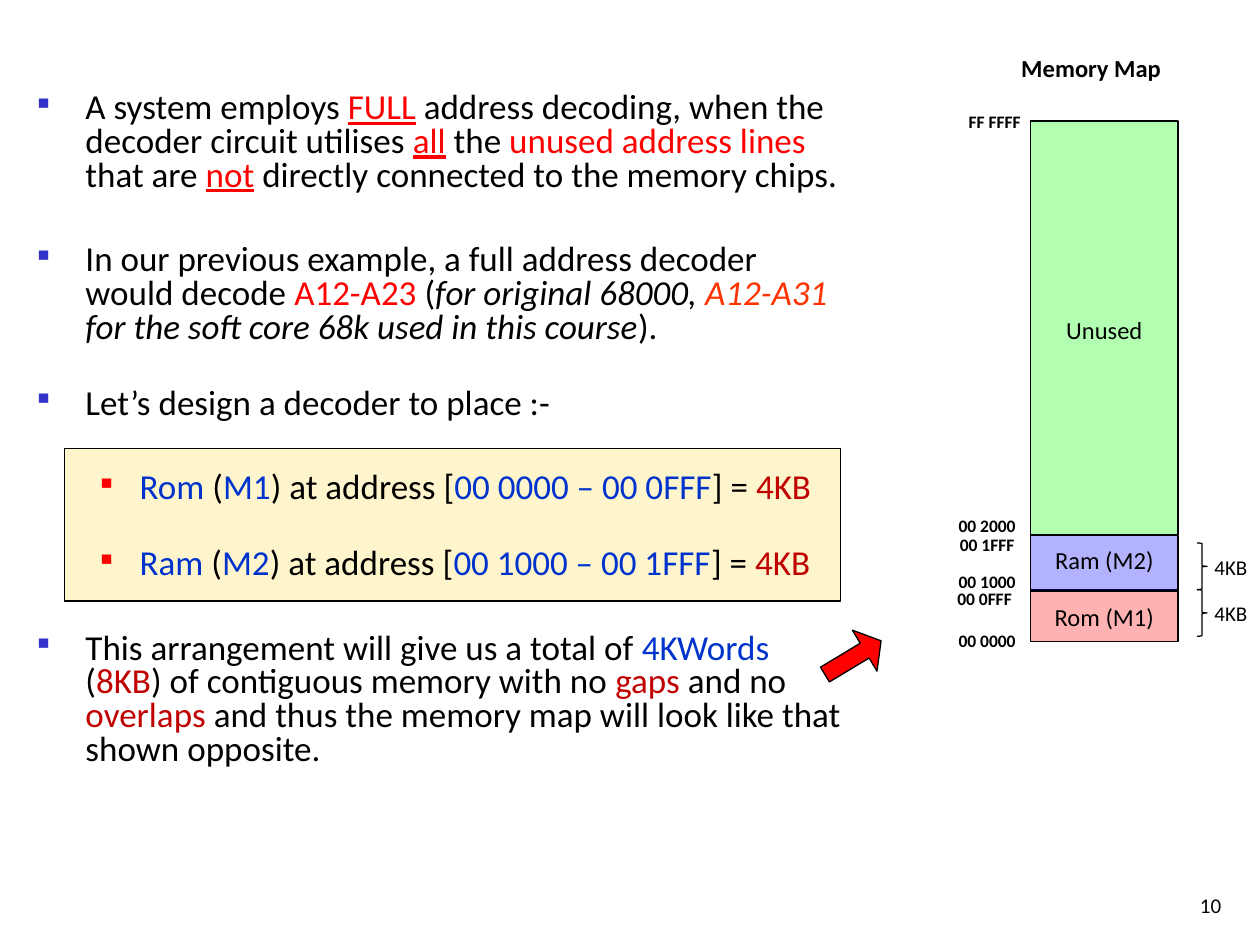
from dataclasses import dataclass

from lxml.etree import SubElement
from pptx import Presentation
from pptx.dml.color import RGBColor
from pptx.enum.shapes import MSO_SHAPE
from pptx.enum.text import MSO_ANCHOR, PP_ALIGN
from pptx.oxml.ns import qn
from pptx.util import Inches, Pt


@dataclass(frozen=True)
class Theme:
    font: str = "Calibri"
    black: str = "000000"
    white: str = "FFFFFF"
    red: str = "FF0000"
    orange: str = "FF3300"
    crimson: str = "C00000"
    blue: str = "0033CC"
    bullet: str = "3333CC"
    cream: str = "FFF5CC"
    green: str = "00FF00"
    violet: str = "0000FF"
    body: int = 20
    caption: int = 14
    small: int = 12
    address: int = 10
    outline: float = 0.75
    opacity: int = 30


THEME = Theme()


@dataclass(frozen=True)
class Span:
    text: str
    color: str = THEME.black
    underline: bool = False
    italic: bool = False
    bold: bool = False


@dataclass(frozen=True)
class Bullet:
    spans: tuple[Span, ...]
    space: float = 0
    level: int = 0


@dataclass(frozen=True)
class Region:
    name: str
    top: float
    height: float
    color: str
    label_top: float


@dataclass(frozen=True)
class Address:
    text: str
    left: float
    top: float


@dataclass(frozen=True)
class Frame:
    left: float
    top: float
    width: float
    height: float

    def lengths(self) -> tuple:
        return tuple(Inches(v) for v in (self.left, self.top, self.width, self.height))


def add_span(para, span: Span, size: int) -> None:
    run = para.add_run()
    run.text = span.text
    font = run.font
    font.name, font.size = THEME.font, Pt(size)
    font.bold, font.italic, font.underline = span.bold, span.italic, span.underline
    font.color.rgb = RGBColor.from_string(span.color)


def add_label(page, frame: Frame, span: Span, size: int, align=PP_ALIGN.CENTER,
              wrap: bool = True, anchor=MSO_ANCHOR.TOP) -> None:
    text = page.shapes.add_textbox(*frame.lengths()).text_frame
    text.word_wrap, text.vertical_anchor = wrap, anchor
    para = text.paragraphs[0]
    para.alignment = align
    add_span(para, span, size)


def add_filled(page, kind, frame: Frame, fill: str | None = None, opacity: int = 100,
               outlined: bool = True):
    shape = page.shapes.add_shape(kind, *frame.lengths())
    shape.shadow.inherit = False
    if outlined:
        shape.line.color.rgb = RGBColor.from_string(THEME.black)
        shape.line.width = Pt(THEME.outline)
    else:
        shape.line.fill.background()
    if fill is None:
        shape.fill.background()
        return shape
    shape.fill.solid()
    shape.fill.fore_color.rgb = RGBColor.from_string(fill)
    if opacity < 100:
        color = shape.fill._xPr.find(f"{qn('a:solidFill')}/{qn('a:srgbClr')}")
        SubElement(color, qn("a:alpha"), val=str(opacity * 1000))
    return shape


def add_plate(page, frame: Frame, name: str, size: int, align=PP_ALIGN.CENTER) -> None:
    text = add_filled(page, MSO_SHAPE.RECTANGLE, frame, THEME.white, outlined=False).text_frame
    text.margin_left = text.margin_right = text.margin_top = text.margin_bottom = 0
    text.word_wrap, text.vertical_anchor = True, MSO_ANCHOR.TOP
    para = text.paragraphs[0]
    para.alignment = align
    add_span(para, Span(name, bold=True), size)


def add_bullet(para, bullet: Bullet) -> None:
    margin, indent, color = ((0.38, 0.38, THEME.bullet), (0.81, 0.31, THEME.red))[bullet.level]
    para.level = bullet.level
    para.line_spacing = 0.8
    para.space_before = Pt(bullet.space)
    properties = para._p.get_or_add_pPr()
    properties.set("marL", str(Inches(margin)))
    properties.set("indent", str(-Inches(indent)))
    SubElement(SubElement(properties, qn("a:buClr")), qn("a:srgbClr"), val=color)
    SubElement(properties, qn("a:buSzPct"), val="46000")
    SubElement(properties, qn("a:buChar"), char="■")
    for span in bullet.spans:
        add_span(para, span, THEME.body)


def memory_line(kind: str, chip: str, span: str, space: float) -> Bullet:
    return Bullet((Span(kind, THEME.blue), Span(" ("), Span(chip, THEME.blue),
                   Span(") at address ["), Span(span, THEME.blue), Span("] = "),
                   Span("4KB", THEME.crimson)), space, 1)


WIDE, NARROW = 29.2, 24.1
BULLETS = (
    Bullet((Span("A system employs "), Span("FULL", THEME.red, underline=True),
            Span(" address decoding, when the decoder circuit utilises "),
            Span("all", THEME.red, underline=True), Span(" the"),
            Span(" unused address lines", THEME.red), Span(" that are "),
            Span("not", THEME.red, underline=True),
            Span(" directly connected to the memory chips."))),
    Bullet((Span("In our previous example, a full address decoder would decode "),
            Span("A12-A23 ", THEME.red), Span("("),
            Span("for original 68000, ", italic=True),
            Span("A12-A31", THEME.orange, italic=True),
            Span(" for the soft core 68k used in this course", italic=True),
            Span(").")), WIDE),
    Bullet((Span("Let’s design a decoder to place :-"),), NARROW),
    memory_line("Rom", "M1", "00 0000 – 00 0FFF", WIDE),
    memory_line("Ram", "M2", "00 1000 – 00 1FFF", NARROW),
    Bullet((Span("This arrangement will give us a total of "), Span("4KWords", THEME.blue),
            Span(" ("), Span("8KB", THEME.crimson),
            Span(") of contiguous memory with no "), Span("gaps ", THEME.crimson),
            Span("and no "), Span("overlaps ", THEME.crimson),
            Span("and thus the memory map will look like that shown opposite.")), WIDE),
)
REGIONS = (
    Region("Unused", 0.96, 3.28, THEME.green, 2.45),
    Region("Rom (M1)", 4.68, 0.41, THEME.red, 4.73),
    Region("Ram (M2)", 4.25, 0.44, THEME.violet, 4.28),
)
ADDRESSES = (
    Address("FF FFFF", 7.12, 0.88), Address("00 2000", 7.08, 4.09),
    Address("00 1FFF", 7.07, 4.24), Address("00 1000", 7.08, 4.53),
    Address("00 0FFF", 7.05, 4.67), Address("00 0000", 7.08, 5),
)
BRACE_TOPS = (4.31, 4.68)


def add_explanation(page) -> None:
    add_filled(page, MSO_SHAPE.RECTANGLE, Frame(0.51, 3.56, 6.16, 1.21), THEME.cream)
    text = page.shapes.add_textbox(*Frame(0.2, 0.69, 6.62, 5.63).lengths()).text_frame
    text.word_wrap = True
    for index, bullet in enumerate(BULLETS):
        add_bullet(text.add_paragraph() if index else text.paragraphs[0], bullet)
    arrow = add_filled(page, MSO_SHAPE.RIGHT_ARROW, Frame(6.51, 5.03, 0.52, 0.38), THEME.red)
    arrow.rotation = 329
    arrow.adjustments[0], arrow.adjustments[1] = 0.36, 0.4


def add_memory_map(page) -> None:
    add_plate(page, Frame(7.99, 0.42, 1.34, 0.23), "Memory Map", THEME.caption)
    for region in REGIONS:
        add_filled(page, MSO_SHAPE.RECTANGLE, Frame(8.18, region.top, 1.17, region.height),
                   region.color, THEME.opacity)
        add_label(page, Frame(8.18, region.label_top, 1.17, 0.34), Span(region.name),
                  THEME.caption)
    for address in ADDRESSES:
        add_plate(page, Frame(address.left, address.top, 0.98, 0.17), address.text,
                  THEME.address, PP_ALIGN.RIGHT)
    for top in BRACE_TOPS:
        add_filled(page, MSO_SHAPE.RIGHT_BRACE, Frame(9.5, top, 0.08, 0.37))
        add_label(page, Frame(9.54, top + 0.04, 0.46, 0.3), Span("4KB"), THEME.small,
                  PP_ALIGN.LEFT, wrap=False)


def main() -> None:
    """Build the full address decoding slide."""
    deck = Presentation()
    deck.slide_width, deck.slide_height = Inches(10), Inches(7.5)
    page = deck.slides.add_slide(deck.slide_layouts[6])
    add_explanation(page)
    add_memory_map(page)
    add_label(page, Frame(7.77, 6.83, 2.02, 0.5), Span("10"), THEME.small,
              PP_ALIGN.RIGHT, anchor=MSO_ANCHOR.BOTTOM)
    deck.save("out.pptx")


if __name__ == "__main__":
    main()
